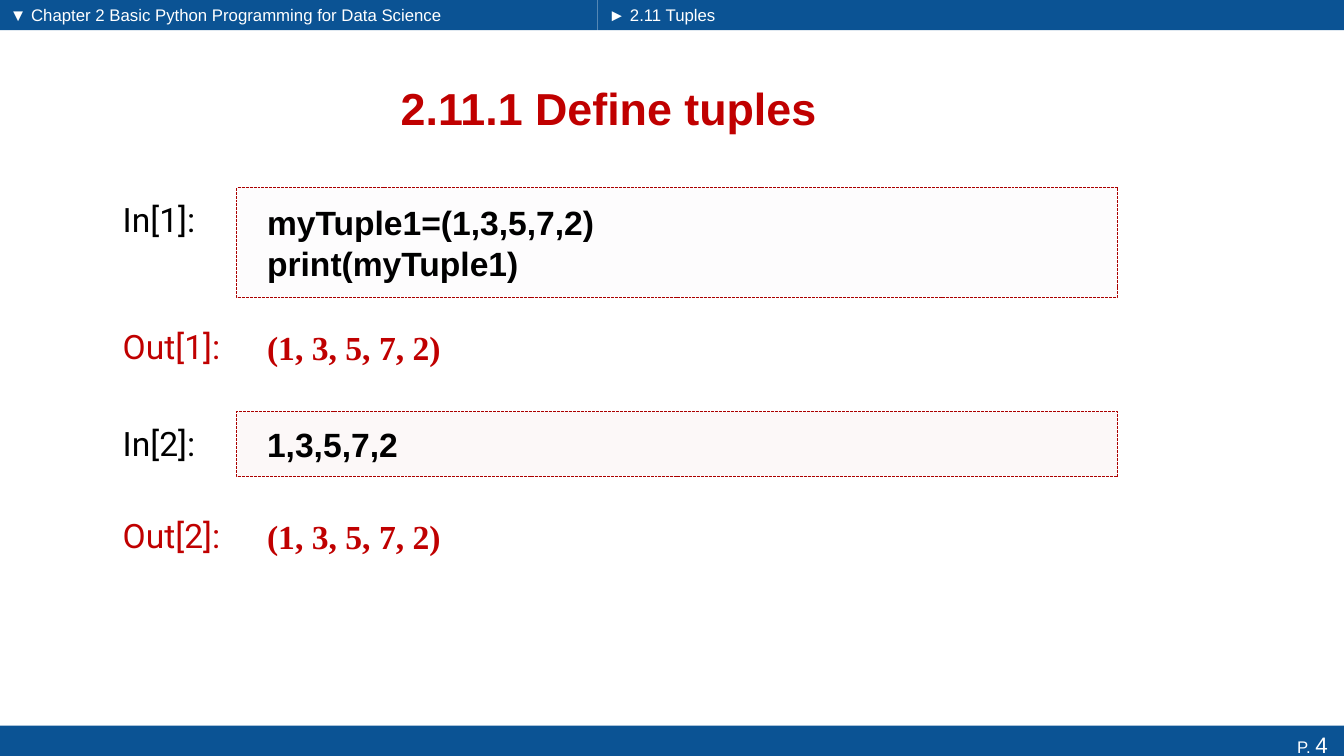
"""Build the slide on defining tuples, with its notebook inputs and outputs."""
from dataclasses import dataclass

import lxml.etree
import pptx
import pptx.dml.color
import pptx.enum.dml
import pptx.enum.shapes
import pptx.enum.text
import pptx.oxml.ns
import pptx.shapes.autoshape
import pptx.slide
import pptx.util

Pt = pptx.util.Pt
RGBColor = pptx.dml.color.RGBColor
Align = pptx.enum.text.PP_ALIGN
Anchor = pptx.enum.text.MSO_ANCHOR

BLUE = RGBColor(0x0B, 0x53, 0x94)
WHITE = RGBColor(0xFF, 0xFF, 0xFF)
BLACK = RGBColor(0x00, 0x00, 0x00)
RED = RGBColor(0xC0, 0x00, 0x00)
DARK_RED = RGBColor(0xAB, 0x00, 0x00)
LILAC = RGBColor(0xF1, 0xEE, 0xF4)
PINK = RGBColor(0xED, 0xCD, 0xCB)

SLIDE_WIDTH, SLIDE_HEIGHT = 960, 540
HEADER_SPLIT, HEADER_HEIGHT = 427, 21.6
LABEL_LEFT, CODE_LEFT, CODE_WIDTH = 80.6, 169.2, 629.3
LABEL_DROP, LABEL_WIDTH, LABEL_HEIGHT = 4.5, 97.2, 36.4
CODE_INSET = 21.6


@dataclass(frozen=True)
class Box:
    left: float
    top: float
    width: float
    height: float


@dataclass(frozen=True)
class TextStyle:
    font: str
    size: float
    color: RGBColor
    bold: bool = False
    align: Align = Align.LEFT
    anchor: Anchor = Anchor.TOP
    inset: float = 7.2


@dataclass(frozen=True)
class Cell:
    label: str
    lines: tuple[str, ...]
    top: float
    height: float
    label_style: TextStyle
    code_style: TextStyle
    fill: RGBColor | None = None


HEADING = TextStyle("Arial", 32, RED, True, Align.CENTER, Anchor.MIDDLE)
BREADCRUMB = TextStyle("Arial", 12, WHITE)
PAGE = TextStyle("Arial", 12, WHITE, align=Align.RIGHT)
IN_LABEL = TextStyle("Roboto", 24, BLACK)
OUT_LABEL = TextStyle("Roboto", 24, RED)
CODE = TextStyle("Arial", 24, BLACK, True, anchor=Anchor.MIDDLE, inset=CODE_INSET)
RESULT = TextStyle("Times New Roman", 24, RED, True, anchor=Anchor.MIDDLE, inset=CODE_INSET)

BARS = (
    Box(0, 0, HEADER_SPLIT, HEADER_HEIGHT),
    Box(HEADER_SPLIT, 0, SLIDE_WIDTH - HEADER_SPLIT, HEADER_HEIGHT),
)
FOOTER = Box(0, 518.4, SLIDE_WIDTH, 26.7)
CELLS = (
    Cell("In[1]:", ("myTuple1=(1,3,5,7,2)", "print(myTuple1)"), 133.9, 78.8,
         IN_LABEL, CODE, LILAC),
    Cell("Out[1]:", ("(1, 3, 5, 7, 2)",), 224.6, 46.5, OUT_LABEL, RESULT),
    Cell("In[2]:", ("1,3,5,7,2",), 294, 46.5, IN_LABEL, CODE, PINK),
    Cell("Out[2]:", ("(1, 3, 5, 7, 2)",), 360, 46.5, OUT_LABEL, RESULT),
)


def add_rectangle(slide: pptx.slide.Slide, box: Box,
                  fill: RGBColor) -> pptx.shapes.autoshape.Shape:
    rectangle = slide.shapes.add_shape(
        pptx.enum.shapes.MSO_SHAPE.RECTANGLE,
        Pt(box.left), Pt(box.top), Pt(box.width), Pt(box.height))
    rectangle.shadow.inherit = False
    rectangle.fill.solid()
    rectangle.fill.fore_color.rgb = fill
    rectangle.line.fill.background()
    return rectangle


def add_textbox(slide: pptx.slide.Slide, box: Box) -> pptx.shapes.autoshape.Shape:
    return slide.shapes.add_textbox(
        Pt(box.left), Pt(box.top), Pt(box.width), Pt(box.height))


def write(shape: pptx.shapes.autoshape.Shape, lines: tuple[str, ...],
          style: TextStyle) -> None:
    frame = shape.text_frame
    frame.word_wrap = True
    frame.vertical_anchor = style.anchor
    frame.margin_left = Pt(style.inset)
    frame.text = "\n".join(lines)
    for paragraph in frame.paragraphs:
        paragraph.alignment = style.align
        paragraph.font.name = style.font
        paragraph.font.size = Pt(style.size)
        paragraph.font.bold = style.bold
        paragraph.font.color.rgb = style.color


def outline_code(code: pptx.shapes.autoshape.Shape) -> None:
    code.line.color.rgb = DARK_RED
    code.line.width = Pt(0.7)
    code.line.dash_style = pptx.enum.dml.MSO_LINE.SQUARE_DOT
    tint = code.fill._xPr.find(".//" + pptx.oxml.ns.qn("a:srgbClr"))
    lxml.etree.SubElement(tint, pptx.oxml.ns.qn("a:alpha"), val="13000")


def add_cell(slide: pptx.slide.Slide, cell: Cell) -> None:
    label = add_textbox(slide, Box(LABEL_LEFT, cell.top + LABEL_DROP,
                                   LABEL_WIDTH, LABEL_HEIGHT))
    write(label, (cell.label,), cell.label_style)
    code_box = Box(CODE_LEFT, cell.top, CODE_WIDTH, cell.height)
    if cell.fill is None:
        code = add_textbox(slide, code_box)
    else:
        code = add_rectangle(slide, code_box, cell.fill)
        outline_code(code)
    write(code, cell.lines, cell.code_style)


def main() -> None:
    deck = pptx.Presentation()
    deck.slide_width, deck.slide_height = Pt(SLIDE_WIDTH), Pt(SLIDE_HEIGHT)
    slide = deck.slides.add_slide(deck.slide_layouts[6])

    for bar in BARS:
        add_rectangle(slide, bar, BLUE)
    footer = add_rectangle(slide, FOOTER, BLUE)
    write(footer, ("P. ",), PAGE)
    footer.text_frame.vertical_anchor = Anchor.TOP
    page_number = footer.text_frame.paragraphs[0].add_run()
    page_number.text = "4 "
    page_number.font.size = Pt(16)

    heading = add_textbox(slide, Box(49, 44.6, 771.8, 64.8))
    write(heading, ("2.11.1 Define tuples",), HEADING)
    chapter = add_textbox(slide, Box(0, 0, 347.8, 20.9))
    write(chapter, ("▼ Chapter 2 Basic Python Programming for Data Science",), BREADCRUMB)
    section = add_textbox(slide, Box(427.7, 0, 171.4, 20.9))
    write(section, ("► 2.11 Tuples",), BREADCRUMB)

    for cell in CELLS:
        add_cell(slide, cell)
    deck.save("out.pptx")


if __name__ == "__main__":
    main()
